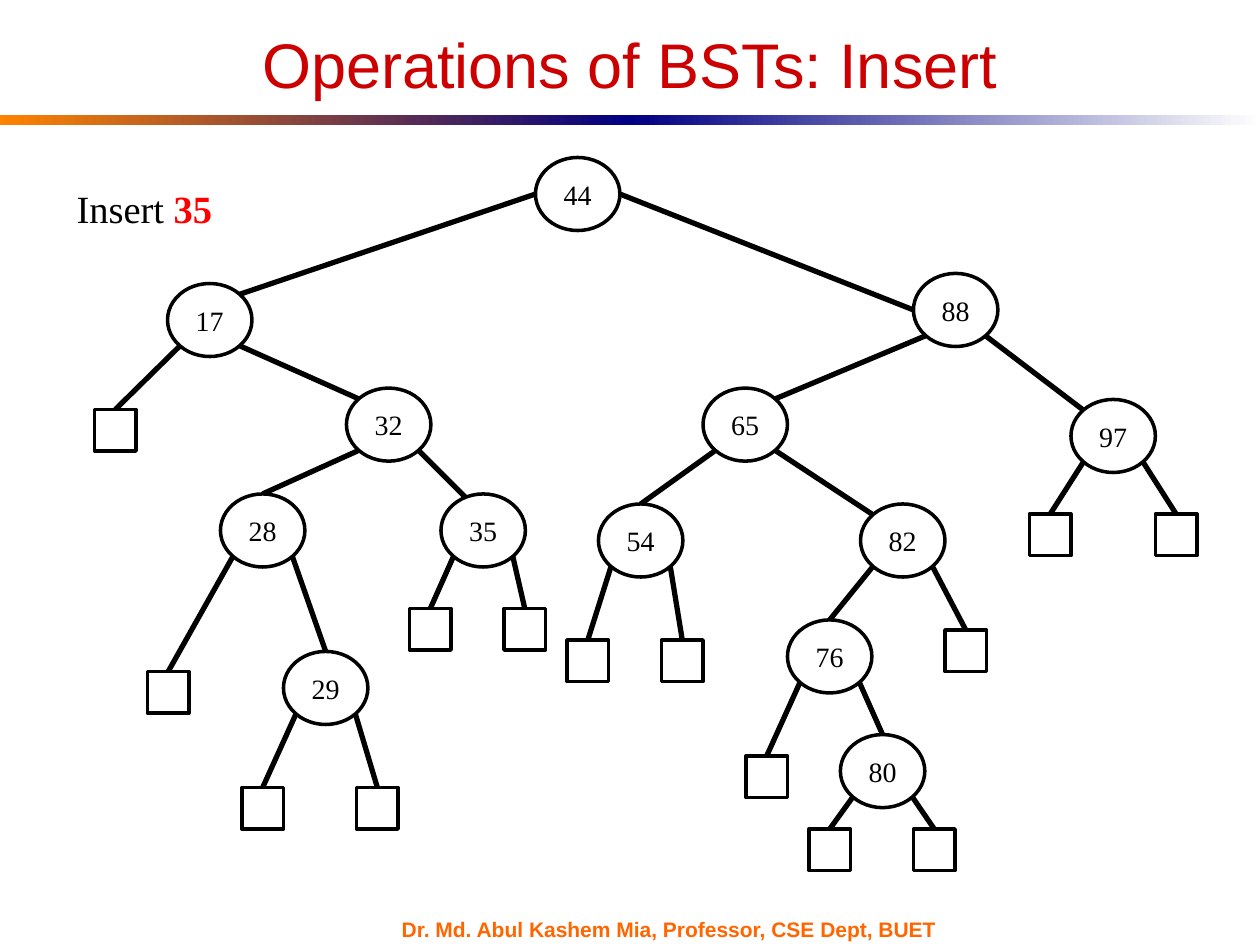
from pptx import Presentation
from pptx.dml.color import RGBColor
from pptx.enum.shapes import MSO_CONNECTOR, MSO_SHAPE
from pptx.enum.text import MSO_ANCHOR, PP_ALIGN
from pptx.oxml.ns import qn
from pptx.util import Inches, Pt
from lxml import etree

OVAL, RECT = MSO_SHAPE.OVAL, MSO_SHAPE.RECTANGLE
LINE = MSO_CONNECTOR.STRAIGHT
LEFT, CENTER = PP_ALIGN.LEFT, PP_ALIGN.CENTER
TOP, MIDDLE = MSO_ANCHOR.TOP, MSO_ANCHOR.MIDDLE

BLACK = RGBColor(0x00, 0x00, 0x00)
WHITE = RGBColor(0xFF, 0xFF, 0xFF)
RED = RGBColor(0xFF, 0x00, 0x00)
CRIMSON = RGBColor(0xCC, 0x00, 0x00)
ORANGE = RGBColor(0xFF, 0x66, 0x00)
AMBER = RGBColor(0xFF, 0x82, 0x00)
NAVY = RGBColor(0x00, 0x00, 0x82)

SANS, SERIF = "Arial", "Times New Roman"
NODE_W, NODE_H, LEAF = 0.67, 0.58, 0.33

# Points where an edge meets a node, as shares of its width and height
SITES = {
    "top": (0.5, 0), "left": (0, 0.5), "right": (1, 0.5),
    "nw": (0.15, 0.15), "ne": (0.85, 0.15),
    "sw": (0.15, 0.85), "se": (0.85, 0.85),
    "in": (0.37, 0.14),
}

# Key: left, top
NODES = {
    44: (4.25, 1.25), 17: (1.33, 2.25), 32: (2.75, 3.08), 28: (1.75, 3.92),
    29: (2.25, 5.17), 88: (7.25, 2.17), 65: (5.58, 3.08), 97: (8.5, 3.17),
    54: (4.75, 4), 82: (6.83, 4), 76: (6.25, 4.92), 80: (6.67, 5.83),
    35: (3.5, 3.92),
}

# Parent, its site, child, its site
EDGES = [
    (44, "left", 17, "ne"), (44, "right", 88, "left"),
    (17, "se", 32, "nw"), (32, "sw", 28, "top"), (32, "se", 35, "in"),
    (28, "se", 29, "top"), (88, "sw", 65, "ne"), (88, "se", 97, "nw"),
    (65, "sw", 54, "top"), (65, "se", 82, "nw"),
    (82, "sw", 76, "top"), (76, "se", 80, "top"),
]

# Parent, its site, left and top of the empty leaf
LEAVES = [
    (17, "sw", 0.75, 3.25), (28, "sw", 1.17, 5.33),
    (29, "sw", 1.92, 6.25), (29, "se", 2.83, 6.25),
    (35, "sw", 3.25, 4.83), (35, "se", 4, 4.83),
    (54, "sw", 4.5, 5.08), (54, "se", 5.25, 5.08),
    (97, "sw", 8.17, 4.08), (97, "se", 9.17, 4.08),
    (76, "sw", 5.92, 6), (82, "se", 7.5, 5),
    (80, "sw", 6.42, 6.58), (80, "se", 7.25, 6.58),
]


def box(x, y, w, h):
    return [Inches(v) for v in (x, y, w, h)]


def write(shape, *runs, font=SERIF, size=16, color=BLACK, bold=False,
          align=CENTER, anchor=MIDDLE, wrap=True):
    """Fill a shape with runs; a run is a text or (text, color, bold)."""
    frame = shape.text_frame
    frame.word_wrap = wrap
    frame.vertical_anchor = anchor
    para = frame.paragraphs[0]
    para.alignment = align
    for item in runs:
        text, tint, heavy = (item, color, bold) if isinstance(item, str) else item
        run = para.add_run()
        run.text = text
        run.font.name = font
        run.font.size = Pt(size)
        run.font.bold = heavy
        run.font.color.rgb = tint


def add_text(slide, at, *runs, **form):
    write(slide.shapes.add_textbox(*box(*at)), *runs, wrap=False, align=LEFT, **form)


def add_bar(slide, x, start, end):
    bar = slide.shapes.add_shape(RECT, *box(x, 0.91, 5, 0.08))
    bar.shadow.inherit = False
    bar.line.fill.background()
    bar.fill.gradient()
    bar.fill.gradient_angle = 0
    for stop, color, place in zip(bar.fill.gradient_stops, (start, end), (0, 1)):
        stop.color.rgb = color
        stop.position = place


def add_mark(slide, kind, *at):
    mark = slide.shapes.add_shape(kind, *box(*at))
    mark.shadow.inherit = False
    mark.fill.solid()
    mark.fill.fore_color.rgb = WHITE
    mark.line.color.rgb = BLACK
    mark.line.width = Pt(2)
    return mark


def site(key, name):
    x, y = NODES[key]
    across, down = SITES[name]
    return x + across * NODE_W, y + down * NODE_H


def add_edge(slide, start, end):
    edge = slide.shapes.add_connector(LINE, *box(*start, *end))
    edge.line.color.rgb = BLACK
    edge.line.width = Pt(3)
    etree.SubElement(edge._element.spPr, qn("a:effectLst"))


def add_tree(slide):
    # Edges lie beneath the nodes
    for key, out, child, into in EDGES:
        add_edge(slide, site(key, out), site(child, into))
    for key, out, x, y in LEAVES:
        add_edge(slide, site(key, out), (x + LEAF / 2, y))
        add_mark(slide, RECT, x, y, LEAF, LEAF)
    for key, (x, y) in NODES.items():
        write(add_mark(slide, OVAL, x, y, NODE_W, NODE_H), str(key))


def main():
    deck = Presentation()
    deck.slide_width, deck.slide_height = Inches(10), Inches(7.5)
    slide = deck.slides.add_slide(deck.slide_layouts[5])

    # Title and rule
    title = slide.shapes.title
    title.left, title.top, title.width, title.height = box(0.5, 0.25, 9, 0.51)
    write(title, "Operations of BSTs: Insert", font=SANS, size=36, color=CRIMSON)
    add_bar(slide, 0, AMBER, NAVY)
    add_bar(slide, 5, NAVY, WHITE)

    # Task and tree
    add_text(slide, (0.51, 1.42, 1.47, 0.47), "Insert ", ("35", RED, True),
             size=22, anchor=TOP)
    add_tree(slide)

    # Footer
    add_text(slide, (3.09, 7.28, 4.67, 0.18),
             "Dr. Md. Abul Kashem Mia, Professor, CSE Dept, BUET",
             font=SANS, size=12, color=ORANGE, bold=True)

    deck.save("out.pptx")


main()
